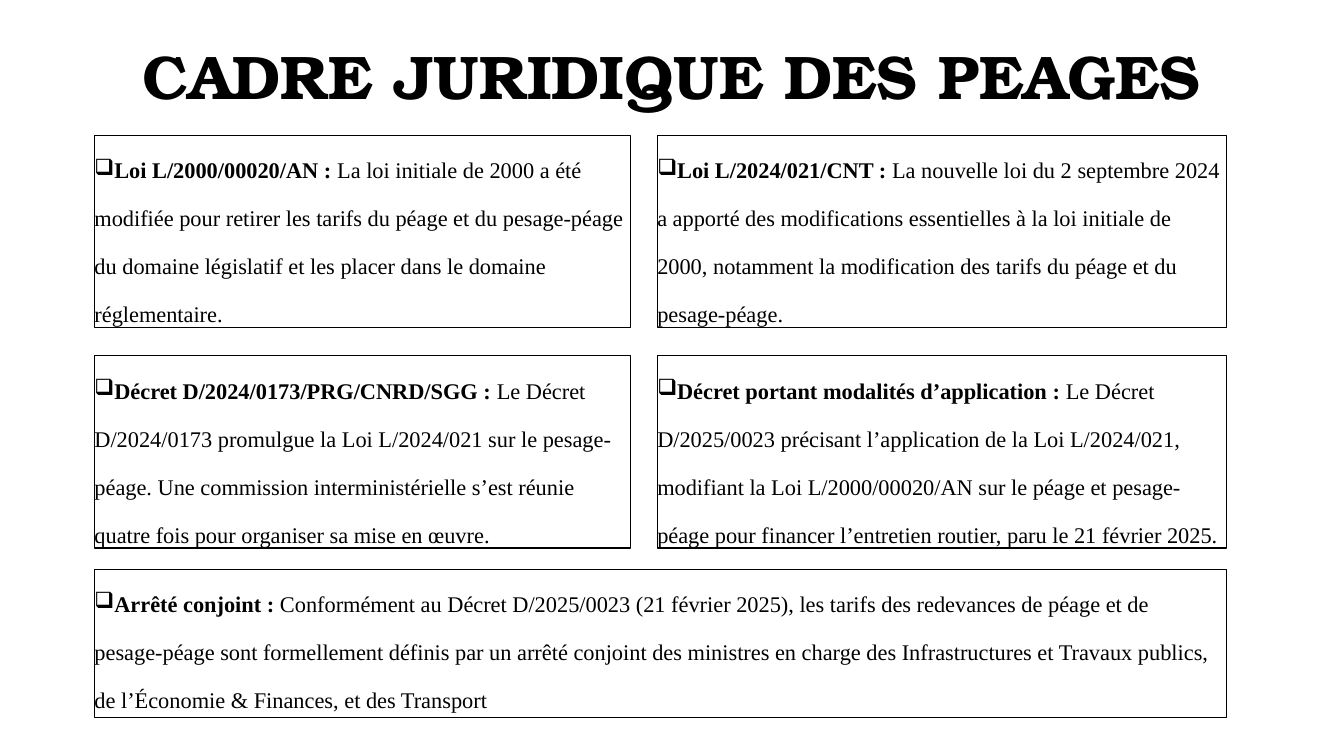
from lxml.etree import SubElement
from pptx import Presentation
from pptx.dml.color import RGBColor
from pptx.enum.shapes import MSO_SHAPE
from pptx.enum.text import MSO_ANCHOR, MSO_AUTO_SIZE, PP_ALIGN
from pptx.oxml.ns import qn
from pptx.util import Pt

PX = 9525
BLACK = "000000"


def px(*lengths):
    return [length * PX for length in lengths]


def format_font(font, color, **values):
    for name, value in values.items():
        setattr(font, name, value)
    font.color.rgb = RGBColor.from_string(color)


deck = Presentation()
deck.slide_width, deck.slide_height = px(1280, 720)
page = deck.slides.add_slide(deck.slide_layouts[5])

title = page.shapes.title
title.left, title.top, title.width, title.height = px(88, 38, 1104, 76)
frame = title.text_frame
frame.text = "CADRE JURIDIQUE DES PEAGES"
frame.auto_size = MSO_AUTO_SIZE.NONE
frame.vertical_anchor = MSO_ANCHOR.MIDDLE
para = frame.paragraphs[0]
para.alignment = PP_ALIGN.CENTER
para.line_spacing = 0.9
format_font(para.runs[0].font, BLACK, name="TeX Gyre Bonum", size=Pt(44), bold=True)

LEFT, RIGHT, EDGE = 90, 626, 1168
LEFT_WIDTH = 511
ROW_1, ROW_2, ROW_3 = 129, 339, 542
TALL, SHORT = 183, 141

legal_texts = [
    (LEFT, ROW_1, LEFT_WIDTH, TALL, "Loi L/2000/00020/AN : ",
     "La loi initiale de 2000 a été modifiée pour retirer les tarifs du péage et du "
     "pesage-péage du domaine législatif et les placer dans le domaine réglementaire."),
    (RIGHT, ROW_1, EDGE - RIGHT, TALL, "Loi L/2024/021/CNT : ",
     "La nouvelle loi du 2 septembre 2024 a apporté des modifications essentielles à la "
     "loi initiale de 2000, notamment la modification des tarifs du péage et du pesage-péage."),
    (LEFT, ROW_2, LEFT_WIDTH, TALL, "Décret D/2024/0173/PRG/CNRD/SGG : ",
     "Le Décret D/2024/0173 promulgue la Loi L/2024/021 sur le pesage-péage. Une commission "
     "interministérielle s’est réunie quatre fois pour organiser sa mise en œuvre."),
    (RIGHT, ROW_2, EDGE - RIGHT, TALL, "Décret portant modalités d’application : ",
     "Le Décret D/2025/0023 précisant l’application de la Loi L/2024/021, modifiant la Loi "
     "L/2000/00020/AN sur le péage et pesage-péage pour financer l’entretien routier, "
     "paru le 21 février 2025."),
    (LEFT, ROW_3, EDGE - LEFT, SHORT, "Arrêté conjoint : ",
     "Conformément au Décret D/2025/0023 (21 février 2025), les tarifs des redevances de "
     "péage et de pesage‑péage sont formellement définis par un arrêté conjoint des ministres "
     "en charge des Infrastructures et Travaux publics, de l’Économie & Finances, "
     "et des Transport"),
]

frame_format = dict(margin_left=0, margin_top=0, margin_right=0, margin_bottom=0,
                    word_wrap=True, vertical_anchor=MSO_ANCHOR.TOP)

for left, top, width, height, heading, summary in legal_texts:
    box = page.shapes.add_shape(MSO_SHAPE.RECTANGLE, *px(left, top, width, height))
    box.shadow.inherit = False
    box.fill.background()
    box.line.color.rgb = RGBColor.from_string(BLACK)
    box.line.width = Pt(0.75)
    for name, value in frame_format.items():
        setattr(box.text_frame, name, value)
    para = box.text_frame.paragraphs[0]
    para.alignment = PP_ALIGN.LEFT
    para.line_spacing = Pt(34.2)
    SubElement(para._p.get_or_add_pPr(), qn("a:buChar"), char="❑")
    for text, bold in ((heading, True), (summary, False)):
        span = para.add_run()
        span.text = text
        format_font(span.font, BLACK, name="Times New Roman", size=Pt(16), bold=bold)

deck.save("out.pptx")
